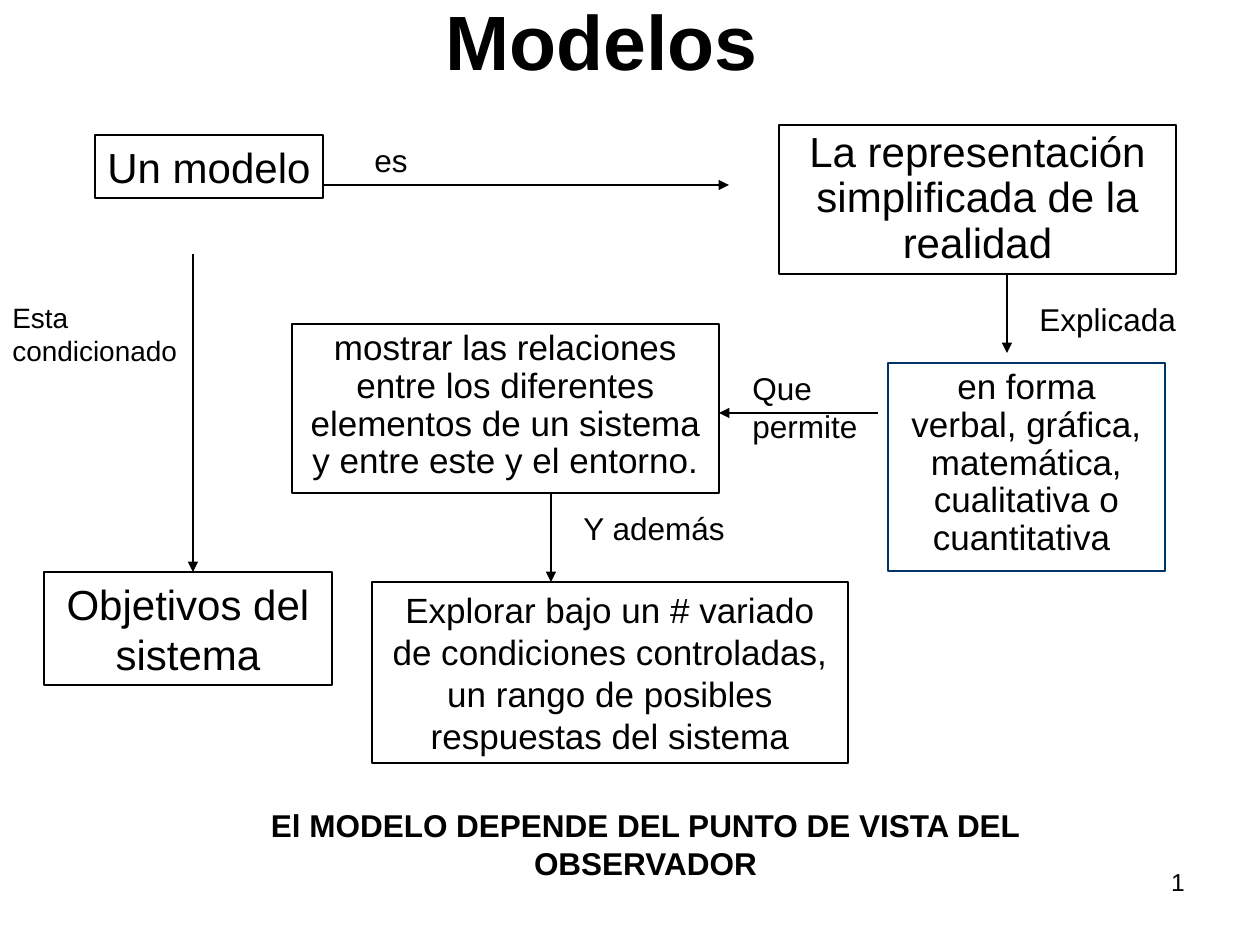
from lxml.etree import SubElement
from pptx import Presentation
from pptx.dml.color import RGBColor
from pptx.enum.shapes import MSO_CONNECTOR, MSO_SHAPE
from pptx.enum.text import MSO_ANCHOR, PP_ALIGN
from pptx.oxml.ns import qn
from pptx.util import Emu, Pt

BLACK = RGBColor(0, 0, 0)
NAVY = RGBColor(0x00, 0x33, 0x66)
FONT = "Arial"
SCALE = 914400 / 126

CONCEPTS = [
    ("en forma verbal, gráfica, matemática, cualitativa o cuantitativa ",
     (888, 363, 277, 208), 20, 0.9, 5, NAVY),
    ("Un modelo", (95, 135, 228, 63), 24, 1, 15, BLACK),
    ("La representación simplificada de la realidad",
     (779, 125, 397, 149), 24, 0.9, 6, BLACK),
    ("mostrar las relaciones entre los diferentes elementos de un sistema "
     "y entre este y el entorno.", (292, 324, 427, 169), 20, 0.9, 5, BLACK),
    ("Objetivos del sistema", (44, 572, 288, 113), 24, 1, 15, BLACK),
    ("Explorar bajo un # variado de condiciones controladas, un rango de "
     "posibles respuestas del sistema", (372, 582, 476, 181), 20, 1, 12.5, BLACK),
]

LINKS = [
    ("es", (362, 135, 169, 50), 18, 11.2, (323, 185, 729, 185)),
    ("Explicada", (1027, 294, 169, 50), 18, 11.2, (1007, 274, 1007, 353)),
    ("Que permite", (740, 363, 159, 88), 18, 11.2, (878, 413, 719, 413)),
    ("Esta condicionado", (0, 294, 193, 81), 16, 10, (193, 254, 193, 572)),
    ("Y además", (571, 503, 218, 50), 18, 11.2, (551, 493, 551, 582)),
]

TITLE = ("Modelos", (343, 0, 517, 79), 44)
CONCLUSION = ("El MODELO DEPENDE DEL PUNTO DE VISTA DEL OBSERVADOR",
              (154, 800, 983, 88), 18)
PAGE_NUMBER = ("1", (903, 861, 294, 65), 14)


def px(lengths):
    return [Emu(round(length * SCALE)) for length in lengths]


def write(shape, text, size, align, bold=False, spacing=1, before=0,
          anchor=MSO_ANCHOR.TOP):
    frame = shape.text_frame
    frame.word_wrap = True
    frame.vertical_anchor = anchor
    paragraph = frame.paragraphs[0]
    paragraph.alignment = align
    paragraph.line_spacing = spacing
    paragraph.space_before = Pt(before)
    run = paragraph.add_run()
    run.text = text
    run.font.name = FONT
    run.font.size = Pt(size)
    run.font.bold = bold
    run.font.color.rgb = BLACK


def add_label(slide, text, area, size, align, **style):
    write(slide.shapes.add_textbox(*px(area)), text, size, align, **style)


def add_concept(slide, text, area, size, spacing, before, border):
    concept = slide.shapes.add_shape(MSO_SHAPE.RECTANGLE, *px(area))
    concept.shadow.inherit = False
    concept.fill.background()
    concept.line.color.rgb = border
    concept.line.width = Pt(0.75)
    write(concept, text, size, PP_ALIGN.CENTER, spacing=spacing, before=before)


def add_arrow(slide, ends):
    arrow = slide.shapes.add_connector(MSO_CONNECTOR.STRAIGHT, *px(ends))
    arrow.line.color.rgb = BLACK
    arrow.line.width = Pt(0.75)
    properties = arrow._element.spPr
    SubElement(properties.find(qn("a:ln")), qn("a:tailEnd"), type="triangle")
    SubElement(properties, qn("a:effectLst"))


def main():
    deck = Presentation()
    deck.slide_width, deck.slide_height = px((1260, 945))
    slide = deck.slides.add_slide(deck.slide_layouts[6])
    add_label(slide, *PAGE_NUMBER, PP_ALIGN.RIGHT)
    add_label(slide, *TITLE, PP_ALIGN.CENTER, bold=True, anchor=MSO_ANCHOR.MIDDLE)
    for concept in CONCEPTS:
        add_concept(slide, *concept)
    for text, area, size, before, ends in LINKS:
        add_arrow(slide, ends)
        add_label(slide, text, area, size, PP_ALIGN.LEFT, before=before)
    add_label(slide, *CONCLUSION, PP_ALIGN.CENTER, bold=True, before=11.2)
    deck.save("out.pptx")


if __name__ == "__main__":
    main()
